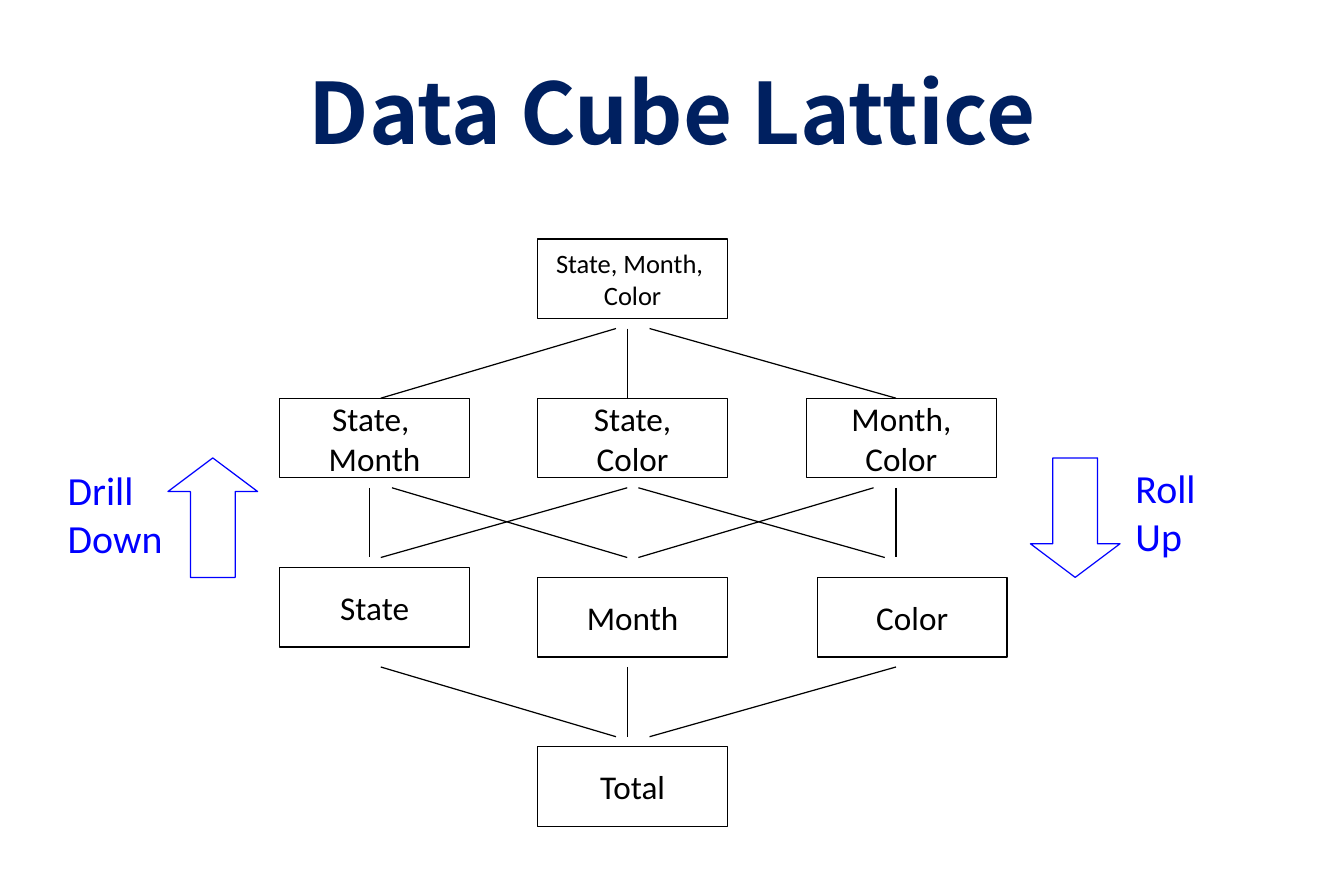
from lxml import etree
from pptx import Presentation
from pptx.dml.color import RGBColor
from pptx.enum.shapes import MSO_CONNECTOR, MSO_SHAPE
from pptx.enum.text import MSO_ANCHOR, MSO_AUTO_SIZE, PP_ALIGN
from pptx.oxml.ns import qn
from pptx.util import Pt

BLACK = RGBColor(0x00, 0x00, 0x00)
BLUE = RGBColor(0x00, 0x00, 0xFF)
NAVY = RGBColor(0x00, 0x20, 0x60)

BODY_FONT = "Calibri"
TITLE_FONT = "Noto Sans CJK SC"
LINE_WIDTH = 0.75
BOX_WIDTH, BOX_HEIGHT = 114.5, 48
EDGE_HEIGHT = 42

# Left, top, font size, lines of text
CUBOIDS = [
    (324, 144, 16, ["State, Month, ", "Color"]),
    (168.5, 240, 20, ["State, ", "Month"]),
    (324, 240, 20, ["State,", "Color"]),
    (486, 240, 20, ["Month,", "Color"]),
    (168.5, 342, 20, ["State"]),
    (324, 348, 20, ["Month"]),
    (492.5, 348, 20, ["Color"]),
    (324, 450, 20, ["Total"]),
]

# Top of each band of edges, with the upper and lower x of every edge
EDGE_BANDS = [
    (198, [(371.25, 229.5), (378, 378), (391.5, 540)]),
    (294, [(222.75, 222.75), (236.25, 378), (378, 229.5),
           (384.75, 533.25), (526.5, 384.75), (540, 540)]),
    (402, [(229.5, 371.25), (378, 378), (540, 391.5)]),
]


def write_lines(paragraph, lines, font_name, size, color, bold=False):
    for index, line in enumerate(lines):
        if index:
            paragraph.add_line_break()
        run = paragraph.add_run()
        run.text = line
        run.font.name = font_name
        run.font.size = Pt(size)
        run.font.bold = bold
        run.font.color.rgb = color


def add_outline(slide, kind, left, top, width, height, color):
    """Add an unfilled preset shape with a thin line."""
    shape = slide.shapes.add_shape(kind, Pt(left), Pt(top), Pt(width), Pt(height))
    shape.shadow.inherit = False
    shape.fill.background()
    shape.line.color.rgb = color
    shape.line.width = Pt(LINE_WIDTH)
    return shape


def add_title(slide, text):
    box = slide.shapes.add_textbox(Pt(40.5), Pt(21.6), Pt(729), Pt(90))
    frame = box.text_frame
    frame.word_wrap = True
    frame.vertical_anchor = MSO_ANCHOR.MIDDLE
    paragraph = frame.paragraphs[0]
    paragraph.alignment = PP_ALIGN.CENTER
    write_lines(paragraph, [text], TITLE_FONT, 51, NAVY, bold=True)


def add_cuboid(slide, left, top, size, lines):
    box = add_outline(slide, MSO_SHAPE.RECTANGLE, left, top, BOX_WIDTH, BOX_HEIGHT, BLACK)
    frame = box.text_frame
    frame.word_wrap = False
    frame.vertical_anchor = MSO_ANCHOR.MIDDLE
    paragraph = frame.paragraphs[0]
    paragraph.alignment = PP_ALIGN.CENTER
    write_lines(paragraph, lines, BODY_FONT, size, BLACK)


def add_edge(slide, top, upper_x, lower_x):
    edge = slide.shapes.add_connector(
        MSO_CONNECTOR.STRAIGHT, Pt(upper_x), Pt(top), Pt(lower_x), Pt(top + EDGE_HEIGHT))
    edge.line.color.rgb = BLACK
    edge.line.width = Pt(LINE_WIDTH)
    etree.SubElement(edge._element.spPr, qn("a:effectLst"))


def add_block_arrow(slide, kind, left):
    arrow = add_outline(slide, kind, left, 276, 54, 72, BLUE)
    arrow.adjustments[0] = 0.5
    arrow.adjustments[1] = 0.375


def add_direction_label(slide, left, top, width, lines):
    box = slide.shapes.add_textbox(Pt(left), Pt(top), Pt(width), Pt(65.5))
    frame = box.text_frame
    frame.word_wrap = False
    frame.auto_size = MSO_AUTO_SIZE.SHAPE_TO_FIT_TEXT
    write_lines(frame.paragraphs[0], lines, BODY_FONT, 24, BLUE)


def main():
    presentation = Presentation()
    presentation.slide_width = Pt(810)
    presentation.slide_height = Pt(540)
    slide = presentation.slides.add_slide(presentation.slide_layouts[6])

    add_title(slide, "Data Cube Lattice")
    for left, top, size, lines in CUBOIDS:
        add_cuboid(slide, left, top, size, lines)
    for top, edges in EDGE_BANDS:
        for upper_x, lower_x in edges:
            add_edge(slide, top, upper_x, lower_x)

    add_block_arrow(slide, MSO_SHAPE.UP_ARROW, 101.25)
    add_block_arrow(slide, MSO_SHAPE.DOWN_ARROW, 621)
    add_direction_label(slide, 33.75, 277, 72, ["Drill", "Down"])
    add_direction_label(slide, 677.25, 276, 51, ["Roll", "Up"])

    presentation.save("out.pptx")


if __name__ == "__main__":
    main()
